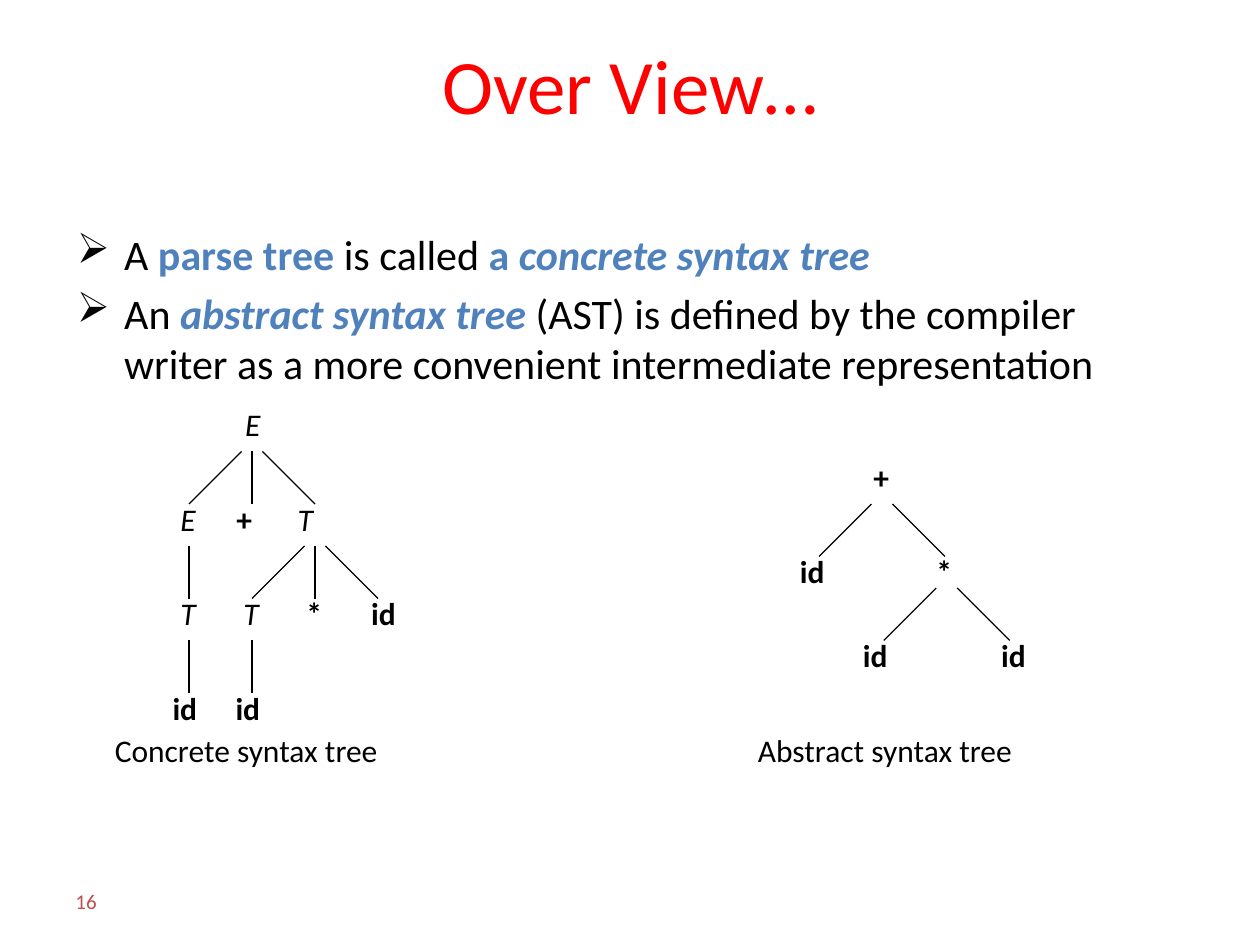
from lxml.etree import SubElement
from pptx import Presentation
from pptx.dml.color import RGBColor
from pptx.enum.shapes import MSO_CONNECTOR as Connector
from pptx.enum.text import MSO_ANCHOR as Anchor, MSO_AUTO_SIZE as AutoSize, PP_ALIGN as Align
from pptx.oxml.ns import qn
from pptx.util import Pt

BLACK = RGBColor(0x00, 0x00, 0x00)
RED = RGBColor(0xFF, 0x00, 0x00)
BLUE = RGBColor(0x4F, 0x81, 0xBD)
BRICK = RGBColor(0xC0, 0x50, 0x4D)
FONT = "Calibri"
DROP = 30
INDENT = 27

BULLETS = [
    [("A ", ""), ("parse tree ", "b"), ("is called ", ""), ("a ", "b"),
     ("concrete syntax tree", "bi")],
    [("An ", ""), ("abstract syntax tree ", "bi"),
     ("(AST) is defined by the compiler writer as a more convenient "
      "intermediate representation", "")],
]

NODES = [
    ("E", "i", 133, 228, 29),
    ("E", "i", 96, 282, 29), ("+", "b", 128, 282, 28), ("T", "i", 163, 282, 28),
    ("T", "i", 96, 336, 28), ("T", "i", 132, 336, 28),
    ("*", "b", 168, 336, 27), ("id", "b", 205, 336, 35),
    ("id", "b", 91.5, 390, 35), ("id", "b", 127.5, 390, 35),
    ("+", "b", 492, 258, 28),
    ("id", "b", 450, 312, 35), ("*", "b", 528, 312, 27),
    ("id", "b", 486, 360, 35), ("id", "b", 565, 360, 35),
    ("Concrete syntax tree", "", 58.5, 414, 212),
    ("Abstract syntax tree", "", 426, 414, 206),
]

BRANCHES = [
    (144, 258, (-1, 0, 1)), (180, 312, (-1, 0, 1)),
    (108, 312, (0,)), (108, 366, (0,)), (144, 366, (0,)),
    (504, 288, (-1, 1)), (541, 336, (-1, 1)),
]


def add_box(page, left, top, width, height, wrap=True):
    box = page.shapes.add_textbox(Pt(left), Pt(top), Pt(width), Pt(height))
    box.text_frame.word_wrap = wrap
    return box.text_frame


def add_span(para, text, size, color, style=""):
    span = para.add_run()
    span.text = text
    span.font.name = FONT
    span.font.size = Pt(size)
    span.font.bold = "b" in style
    span.font.italic = "i" in style
    span.font.color.rgb = color


def add_title(page, text):
    frame = add_box(page, 36, 12, 648, 72)
    frame.vertical_anchor = Anchor.MIDDLE
    frame.paragraphs[0].alignment = Align.CENTER
    add_span(frame.paragraphs[0], text, 44, RED)


def add_page_number(page, text):
    frame = add_box(page, 36, 500.5, 168, 28.5)
    frame.vertical_anchor = Anchor.MIDDLE
    add_span(frame.paragraphs[0], text, 12, BRICK)


def add_bullets(page):
    frame = add_box(page, 18, 96, 684, 390)
    frame.margin_left, frame.margin_top, frame.margin_right = Pt(26), Pt(34.5), Pt(50)
    for index, spans in enumerate(BULLETS):
        para = frame.add_paragraph() if index else frame.paragraphs[0]
        properties = para._p.get_or_add_pPr()
        properties.set("marL", str(Pt(INDENT)))
        properties.set("indent", str(Pt(-INDENT)))
        SubElement(properties, qn("a:buChar")).set("char", "➢")
        if index:
            para.space_before = Pt(4.8)
        for text, style in spans:
            add_span(para, text, 24, BLUE if style else BLACK, style)


def add_node(page, text, style, left, top, width):
    frame = add_box(page, left, top, width, 36, wrap=False)
    frame.auto_size = AutoSize.SHAPE_TO_FIT_TEXT
    add_span(frame.paragraphs[0], text, 18, BLACK, style)


def add_branches(page, center, top, sides):
    for side in sides:
        line = page.shapes.add_connector(
            Connector.STRAIGHT, Pt(center + 6 * side), Pt(top),
            Pt(center + (6 + DROP) * side), Pt(top + DROP))
        line.line.color.rgb = BLACK
        line.line.width = Pt(0.75)
        SubElement(line._element.spPr, qn("a:effectLst"))


def main():
    deck = Presentation()
    deck.slide_width, deck.slide_height = Pt(720), Pt(540)
    page = deck.slides.add_slide(deck.slide_layouts[6])
    add_page_number(page, "16")
    add_title(page, "Over View…")
    add_bullets(page)
    for branch in BRANCHES:
        add_branches(page, *branch)
    for node in NODES:
        add_node(page, *node)
    deck.save("out.pptx")


if __name__ == "__main__":
    main()
